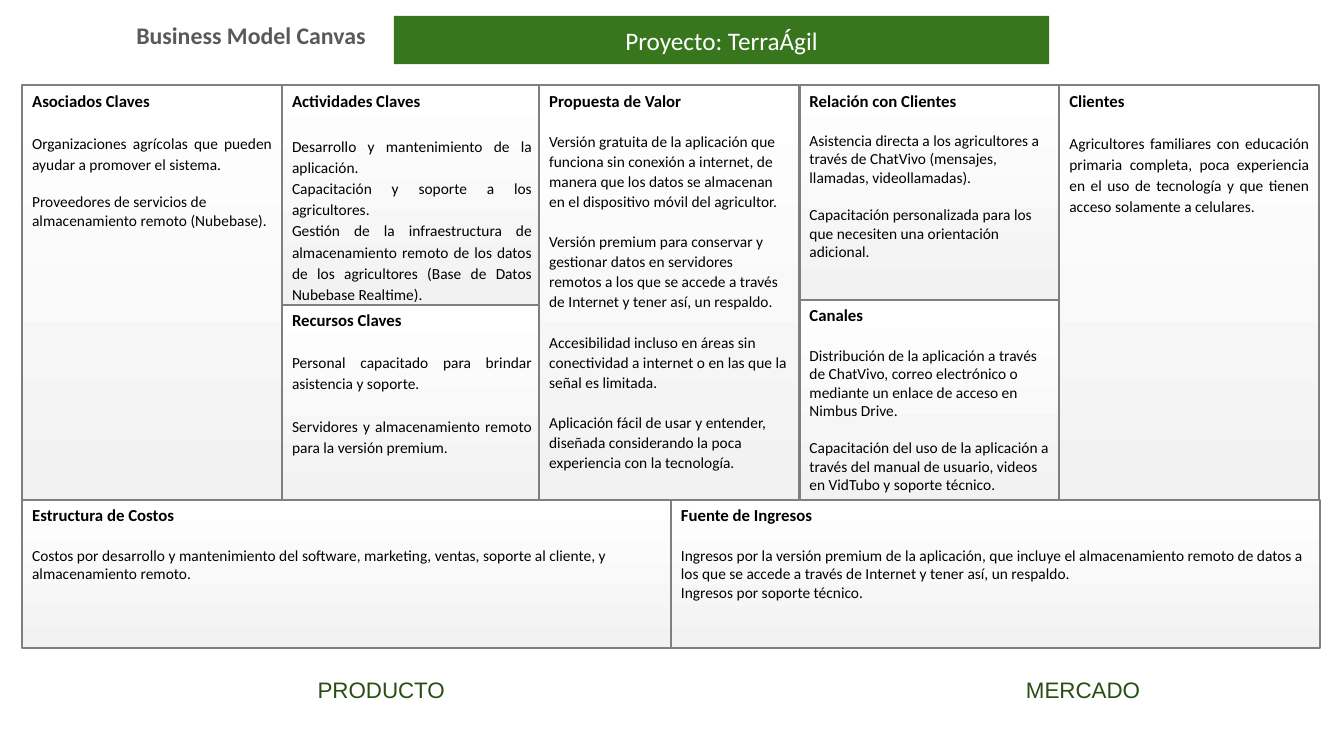
"""Build the business model canvas slide of a farming app."""
from pptx import Presentation
from pptx.dml.color import RGBColor
from pptx.enum import shapes, text
from pptx.util import Cm, Pt

BLACK = RGBColor(0x00, 0x00, 0x00)
WHITE = RGBColor(0xFF, 0xFF, 0xFF)
PALE_GRAY = RGBColor(0xF2, 0xF2, 0xF2)
BORDER_GRAY = RGBColor(0x7F, 0x7F, 0x7F)
TITLE_GRAY = RGBColor(0x59, 0x59, 0x59)
GREEN = RGBColor(0x38, 0x76, 0x1D)
DARK_GREEN = RGBColor(0x27, 0x4E, 0x13)

LEFT, CENTER, JUSTIFY = (
    text.PP_ALIGN.LEFT, text.PP_ALIGN.CENTER, text.PP_ALIGN.JUSTIFY)
TOP, MIDDLE = text.MSO_ANCHOR.TOP, text.MSO_ANCHOR.MIDDLE

PLAIN = {"alignment": LEFT, "line_spacing": 1.0, "space_after": Pt(13.4)}
LOOSE = {**PLAIN, "line_spacing": 1.08, "space_after": Pt(14.5)}
JUSTIFIED = {"alignment": JUSTIFY, "line_spacing": 1.15, "space_after": Pt(15.4)}
TIGHT = {"space_after": Pt(0)}
HEADING = {"alignment": LEFT, "line_spacing": 1.0, "space_after": Pt(14.65)}
HEADING_FONT = {"name": "Calibri", "size": Pt(12), "bold": True}
BODY_FONT = {"name": "Calibri", "size": Pt(11), "bold": False}

COLUMN_WIDTH = 6.55
COLUMN_LEFTS = (0, 6.55, 13.03, 19.59, 26.14)
UPPER_HEIGHT = 10.45
LOWER_HEIGHT = 3.73

COLUMNS = [
    [("Asociados Claves", UPPER_HEIGHT, HEADING, [
        ("Organizaciones agrícolas que pueden ayudar a promover el sistema.",
         {**JUSTIFIED, "space_after": Pt(13.4)}),
        ("Proveedores de servicios de almacenamiento remoto (Nubebase).", PLAIN)])],
    [("Actividades Claves", 5.53, {**HEADING, "space_after": Pt(16.8)}, [
        ("Desarrollo y mantenimiento de la aplicación.", {**JUSTIFIED, **TIGHT}),
        ("Capacitación y soporte a los agricultores.", {**JUSTIFIED, **TIGHT}),
        ("Gestión de la infraestructura de almacenamiento remoto de los datos de los "
         "agricultores (Base de Datos Nubebase Realtime).", {**JUSTIFIED, **TIGHT})]),
     ("Recursos Claves", 4.92, HEADING, [
        ("Personal capacitado para brindar asistencia y soporte.", JUSTIFIED),
        ("Servidores y almacenamiento remoto para la versión premium.", JUSTIFIED)])],
    [("Propuesta de Valor", UPPER_HEIGHT, HEADING, [
        ("Versión gratuita de la aplicación que funciona sin conexión a internet, de "
         "manera que los datos se almacenan en el dispositivo móvil del agricultor.",
         LOOSE),
        ("Versión premium para conservar y gestionar datos en servidores remotos a los "
         "que se accede a través de Internet y tener así, un respaldo.", LOOSE),
        ("Accesibilidad incluso en áreas sin conectividad a internet o en las que la "
         "señal es limitada.", LOOSE),
        ("Aplicación fácil de usar y entender, diseñada considerando la poca "
         "experiencia con la tecnología.", LOOSE)])],
    [("Relación con Clientes", 5.41, HEADING, [
        ("Asistencia directa a los agricultores a través de ChatVivo (mensajes, "
         "llamadas, videollamadas).", PLAIN),
        ("Capacitación personalizada para los que necesiten una orientación "
         "adicional.", PLAIN)]),
     ("Canales", 5.04, HEADING, [
        ("Distribución de la aplicación a través de ChatVivo, correo electrónico o "
         "mediante un enlace de acceso en Nimbus Drive.", PLAIN),
        ("Capacitación del uso de la aplicación a través del manual de usuario, videos "
         "en VidTubo y soporte técnico.", PLAIN)])],
    [("Clientes", UPPER_HEIGHT, HEADING, [
        ("Agricultores familiares con educación primaria completa, poca experiencia en "
         "el uso de tecnología y que tienen acceso solamente a celulares.",
         JUSTIFIED)])],
]

FINANCES = [
    ("Estructura de Costos", [
        ("Costos por desarrollo y mantenimiento del software, marketing, ventas, "
         "soporte al cliente, y almacenamiento remoto.", PLAIN)]),
    ("Fuente de Ingresos", [
        ("Ingresos por la versión premium de la aplicación, que incluye el "
         "almacenamiento remoto de datos a los que se accede a través de Internet y "
         "tener así, un respaldo.", {**PLAIN, **TIGHT}),
        ("Ingresos por soporte técnico.", PLAIN)]),
]


def apply(target, values):
    """Set every attribute of the target that the values name."""
    for name, value in values.items():
        setattr(target, name, value)


def write(frame, lines, anchor=TOP):
    """Fill a text frame with (wording, paragraph format, font, colour) lines."""
    apply(frame, {"word_wrap": True, "vertical_anchor": anchor,
                  "auto_size": text.MSO_AUTO_SIZE.NONE})
    for index, (wording, layout, font, color) in enumerate(lines):
        paragraph = frame.add_paragraph() if index else frame.paragraphs[0]
        apply(paragraph, layout)
        run = paragraph.add_run()
        run.text = wording
        apply(run.font, font)
        run.font.color.rgb = color


def add_header(slide, left, top, width, height):
    """Place the canvas title and the green project banner."""
    title = slide.shapes.title
    apply(title, {"left": Cm(left), "top": Cm(top),
                  "width": Cm(7.21), "height": Cm(1.37)})
    write(title.text_frame, [("Business Model Canvas", {"alignment": LEFT},
                              {"name": "Calibri", "size": Pt(17), "bold": True},
                              TITLE_GRAY)])
    banner_left = left + 6.75
    banner = slide.shapes.add_shape(
        shapes.MSO_SHAPE.RECTANGLE, Cm(banner_left), Cm(top),
        Cm(left + width - banner_left), Cm(height))
    banner.shadow.inherit = False
    banner.fill.solid()
    banner.fill.fore_color.rgb = GREEN
    banner.line.fill.background()
    write(banner.text_frame, [("Proyecto: TerraÁgil", {"alignment": CENTER},
                               {"name": "Calibri", "size": Pt(18)}, WHITE)], MIDDLE)


def add_block(slide, left, top, width, height, heading, heading_layout, body):
    """Place one bordered canvas block with its heading and paragraphs."""
    block = slide.shapes.add_shape(shapes.MSO_SHAPE.ROUNDED_RECTANGLE,
                                   Cm(left), Cm(top), Cm(width), Cm(height))
    block.adjustments[0] = 0
    block.shadow.inherit = False
    block.fill.gradient()
    block.fill.gradient_angle = 90
    for stop, position, color in zip(block.fill.gradient_stops, (0, 1),
                                     (PALE_GRAY, WHITE)):
        stop.position = position
        stop.color.rgb = color
    block.line.color.rgb = BORDER_GRAY
    block.line.width = Pt(1.5)
    write(block.text_frame,
          [(heading, heading_layout, HEADING_FONT, BLACK)]
          + [(wording, layout, BODY_FONT, BLACK) for wording, layout in body])


def add_canvas(slide, left, top, width):
    """Place the finance row and the five columns above it."""
    half = width / 2
    for index, (heading, body) in enumerate(FINANCES):
        add_block(slide, left + index * half, top + UPPER_HEIGHT, half, LOWER_HEIGHT,
                  heading, HEADING, body)
    for offset, blocks in zip(COLUMN_LEFTS, COLUMNS):
        block_top = top
        for heading, height, heading_layout, body in blocks:
            add_block(slide, left + offset, block_top, COLUMN_WIDTH, height,
                      heading, heading_layout, body)
            block_top += height


def add_side_label(slide, left, top, width, height, wording):
    """Place the name of one side of the canvas."""
    label = slide.shapes.add_textbox(Cm(left), Cm(top), Cm(width), Cm(height))
    write(label.text_frame, [(wording, {"alignment": CENTER},
                              {"name": "Arial", "size": Pt(16)}, DARK_GREEN)])


def main():
    """Build and save the presentation."""
    deck = Presentation()
    apply(deck, {"slide_width": Cm(33.87), "slide_height": Cm(19.05)})
    slide = deck.slides.add_slide(deck.slide_layouts[5])
    add_header(slide, 3.18, 0.4, 23.26, 1.22)
    add_canvas(slide, 0.56, 2.15, 32.7)
    add_side_label(slide, 6.83, 16.92, 5.56, 0.99, "PRODUCTO")
    add_side_label(slide, 24.77, 16.92, 5.05, 0.99, "MERCADO")
    deck.save("out.pptx")


if __name__ == "__main__":
    main()
